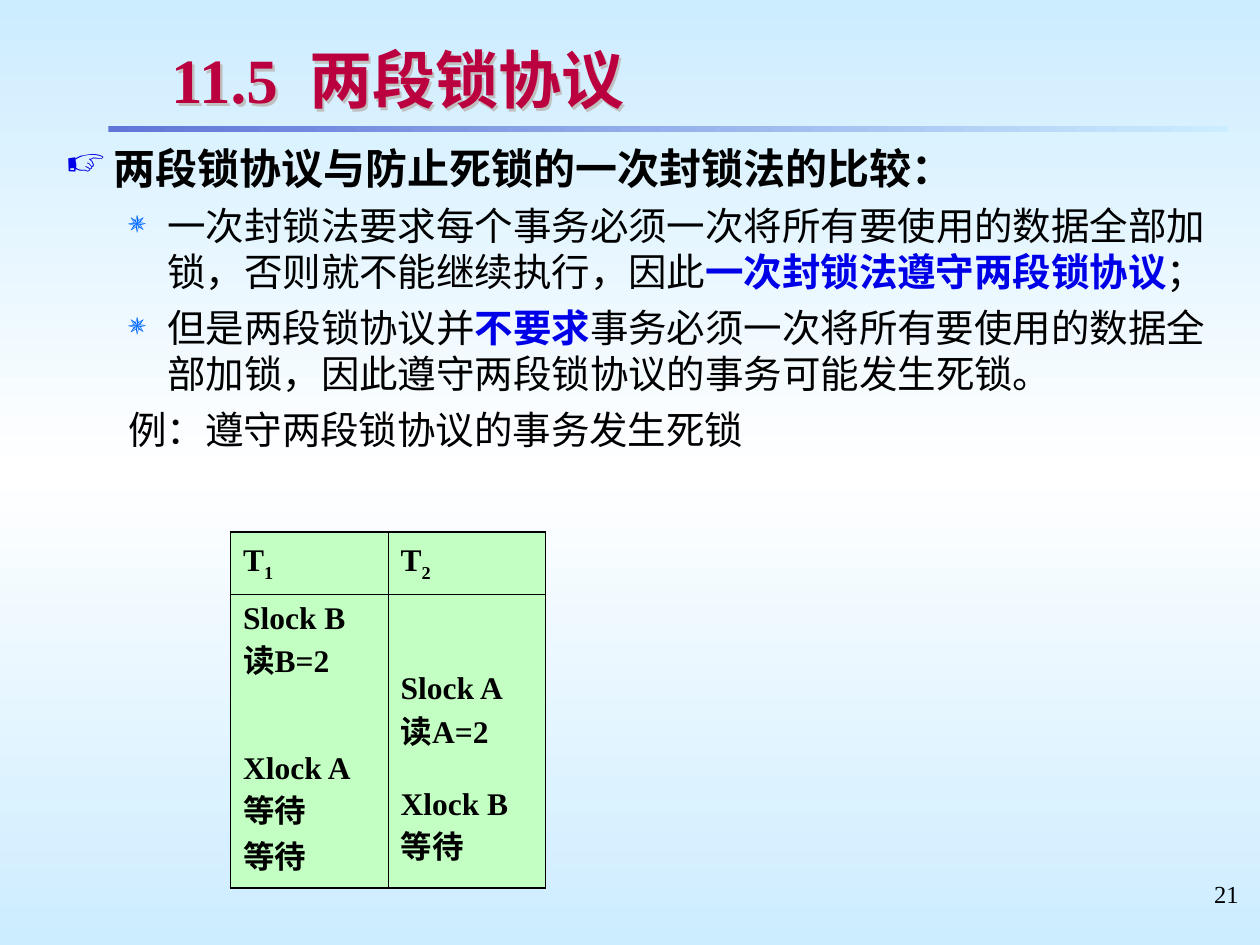
from copy import deepcopy

from lxml import etree
from pptx import Presentation
from pptx.dml.color import RGBColor
from pptx.enum.shapes import MSO_SHAPE
from pptx.enum.text import MSO_ANCHOR, PP_ALIGN
from pptx.oxml.ns import qn
from pptx.util import Inches, Pt

RECT = MSO_SHAPE.RECTANGLE
TOP, MIDDLE = MSO_ANCHOR.TOP, MSO_ANCHOR.MIDDLE
LEFT, RIGHT = PP_ALIGN.LEFT, PP_ALIGN.RIGHT

FONT, BULLET_FONT = "Times New Roman", "OpenSymbol"
BLACK, BLUE, CRIMSON = "000000", "0000E8", "BA003E"
SKY, WHITE, GREEN, STEEL = "CCECFF", "FFFFFF", "C3FFC3", "5F76D7"

# Content: a run is (text, format)
TITLE = "11.5  两段锁协议"
PAGE = "21"
KEY = dict(color=BLUE, bold=True)
HAND = ("☞", BLUE, 95)
STAR = ("✵", "0066FF", 80)
BODY = [
    ([("两段锁协议与防止死锁的一次封锁法的比较：", dict(size=24, bold=True))],
     dict(margin=0.38, indent=-0.38, bullet=HAND)),
    ([("一次封锁法要求每个事务必须一次将所有要使用的数据全部加锁，否则就不能继续执行，因此", {}),
      ("一次封锁法遵守两段锁协议", KEY), ("；", {})],
     dict(margin=0.81, indent=-0.31, bullet=STAR, before=5.5)),
    ([("但是两段锁协议并", {}), ("不要求", KEY),
      ("事务必须一次将所有要使用的数据全部加锁，因此遵守两段锁协议的事务可能发生死锁。", {})],
     dict(margin=0.81, indent=-0.31, bullet=STAR, before=5.5)),
    ([("例：遵守两段锁协议的事务发生死锁", {})],
     dict(margin=0.81, indent=-0.31, before=5.5)),
]
HEADERS = [("T", "1"), ("T", "2")]
# Steps of each transaction: (top margin, [(text, wait in lines)])
STEPS = [
    (0.05, [("Slock B", 0), ("读B=2", 0), ("Xlock A", 2), ("等待", 0), ("等待", 0)]),
    (0.61, [("Slock A", 0), ("读A=2", 0), ("Xlock B", 1), ("等待", 0)]),
]
COL_W, ROW_H = 1.25, (0.5, 2.33)
CELL_SIZE, LINE_PT = 18, 20
OUTER, INNER = 1.08, 0.45


def rgb(color):
    return RGBColor.from_string(color)


def gradient(fill, root, colors, angle):
    fill.gradient()
    fill.gradient_angle = angle
    stops = root.find(".//" + qn("a:gsLst"))
    while len(stops) < len(colors):
        stops.append(deepcopy(stops[0]))
    for i, (stop, color) in enumerate(zip(fill.gradient_stops, colors)):
        stop.color.rgb = rgb(color)
        stop.position = i / (len(colors) - 1)


def add_run(p, text, size=22, color=BLACK, bold=False, base=None):
    r = p.add_run()
    r.text = text
    r.font.size, r.font.bold, r.font.name = Pt(size), bold, FONT
    r.font.color.rgb = rgb(color)
    if base:
        r.font._element.set("baseline", str(base * 1000))


def set_paragraph(p, margin=0, indent=0, bullet=None, before=0, align=LEFT):
    pPr = p._p.get_or_add_pPr()
    pPr.set("marL", str(Inches(margin)))
    pPr.set("indent", str(Inches(indent)))
    if bullet:
        char, color, percent = bullet
        clr = etree.SubElement(pPr, qn("a:buClr"))
        etree.SubElement(clr, qn("a:srgbClr"), val=color)
        etree.SubElement(pPr, qn("a:buSzPct"), val=str(percent * 1000))
        etree.SubElement(pPr, qn("a:buFont"), typeface=BULLET_FONT)
        etree.SubElement(pPr, qn("a:buChar"), char=char)
    else:
        etree.SubElement(pPr, qn("a:buNone"))
    p.space_before = Pt(before)
    p.alignment = align


def next_paragraph(tf, first):
    return tf.paragraphs[0] if first else tf.add_paragraph()


def add_box(s, x, y, w, h, anchor=TOP):
    sp = s.shapes.add_textbox(Inches(x), Inches(y), Inches(w), Inches(h))
    sp.text_frame.word_wrap = True
    sp.text_frame.vertical_anchor = anchor
    return sp


def add_text_shadow(sp):
    # An unfilled box casts the shadow of its text
    effects = etree.SubElement(sp._element.spPr, qn("a:effectLst"))
    shadow = etree.SubElement(effects, qn("a:outerShdw"), dist="25400", dir="2700000")
    etree.SubElement(shadow, qn("a:srgbClr"), val="C0C0C0")


def style_cell(cell, row, col, top, anchor):
    cell.fill.solid()
    cell.fill.fore_color.rgb = rgb(GREEN)
    cell.margin_left = cell.margin_right = Inches(0.1)
    cell.margin_top, cell.margin_bottom = Inches(top), Inches(0.05)
    cell.vertical_anchor = anchor
    outer = dict(L=col == 0, R=col == 1, T=row == 0, B=row == 1)
    tcPr = cell._tc.get_or_add_tcPr()
    for i, (side, is_outer) in enumerate(outer.items()):
        ln = etree.Element(qn("a:ln" + side), w=str(Pt(OUTER if is_outer else INNER)))
        fill = etree.SubElement(ln, qn("a:solidFill"))
        etree.SubElement(fill, qn("a:srgbClr"), val=BLACK)
        tcPr.insert(i, ln)


prs = Presentation()
prs.slide_width, prs.slide_height = Inches(10), Inches(7.5)
s = prs.slides.add_slide(prs.slide_layouts[6])

# Background and title rule
gradient(s.background.fill, s._element, [SKY, WHITE, SKY], 270)
rule = s.shapes.add_shape(RECT, Inches(0.86), Inches(1), Inches(8.89), Inches(0.05))
rule.shadow.inherit = False
rule.line.fill.background()
gradient(rule.fill, rule._element, [STEEL, SKY], 0)

# Page number and title
p = add_box(s, 7.6, 6.93, 2.33, 0.52).text_frame.paragraphs[0]
p.alignment = RIGHT
add_run(p, PAGE, size=14)
title = add_box(s, 1.26, 0.29, 8.24, 0.67, MIDDLE)
add_run(title.text_frame.paragraphs[0], TITLE, size=36, color=CRIMSON, bold=True)
add_text_shadow(title)

# Body text
tf = add_box(s, 0.42, 1.08, 9.25, 2.7).text_frame
for i, (runs, layout) in enumerate(BODY):
    p = next_paragraph(tf, i == 0)
    set_paragraph(p, **layout)
    for text, fmt in runs:
        add_run(p, text, **fmt)

# Schedule table
table = s.shapes.add_table(2, 2, Inches(1.83), Inches(4.22),
                           Inches(2 * COL_W), Inches(sum(ROW_H))).table
table.first_row = table.horz_banding = False
for row, height in zip(table.rows, ROW_H):
    row.height = Inches(height)
for col, ((name, index), (top, steps)) in enumerate(zip(HEADERS, STEPS)):
    head, cell = table.cell(0, col), table.cell(1, col)
    style_cell(head, 0, col, 0.05, MIDDLE)
    style_cell(cell, 1, col, top, TOP)
    p = head.text_frame.paragraphs[0]
    add_run(p, name, size=CELL_SIZE, bold=True)
    add_run(p, index, size=CELL_SIZE, bold=True, base=-25)
    for i, (text, wait) in enumerate(steps):
        p = next_paragraph(cell.text_frame, i == 0)
        p.space_before = Pt(wait * LINE_PT)
        add_run(p, text, size=CELL_SIZE, bold=True)

prs.save("out.pptx")
